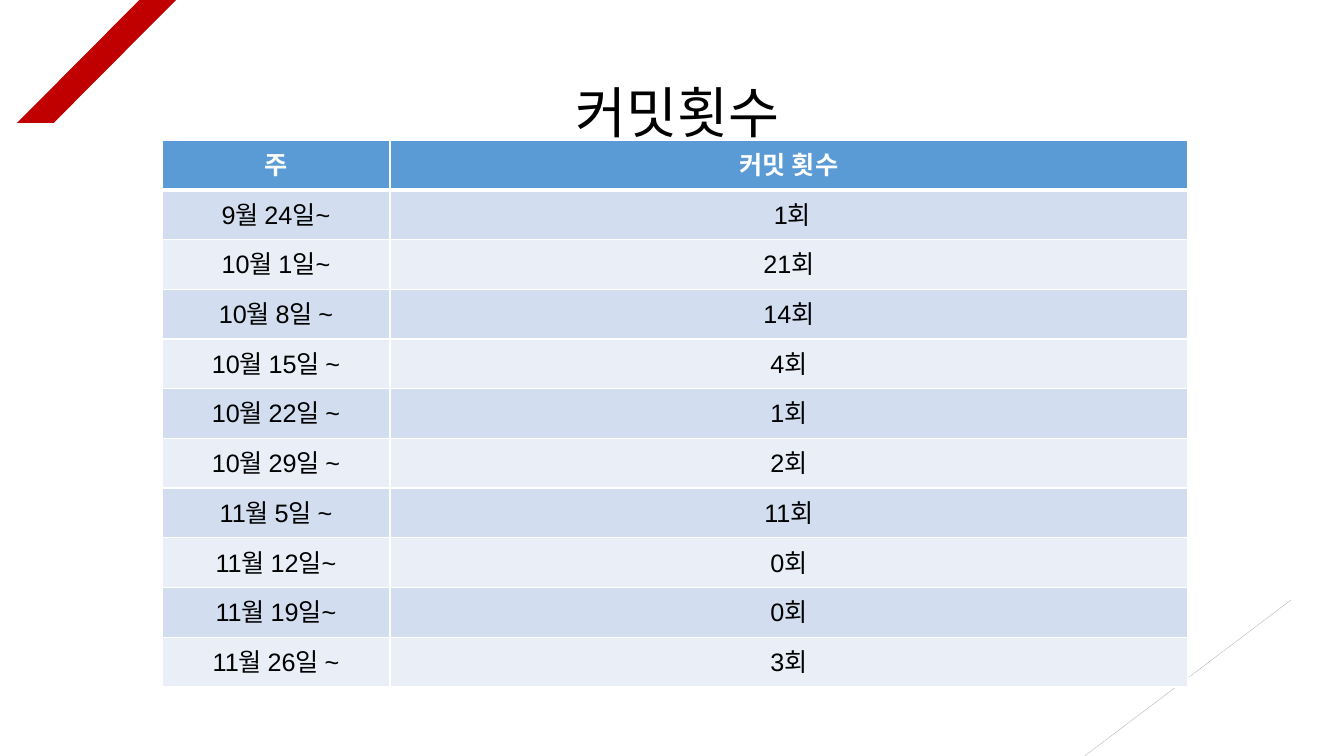
from lxml.etree import SubElement
from pptx import Presentation
from pptx.dml.color import RGBColor
from pptx.enum.shapes import MSO_CONNECTOR as Connector, MSO_SHAPE as Preset
from pptx.enum.text import MSO_ANCHOR as Anchor, PP_ALIGN as Align
from pptx.oxml.ns import qn
from pptx.util import Pt

PIXEL = 914400 / 100.8

RED = RGBColor(0xC0, 0x00, 0x00)
GREY = RGBColor(0xA6, 0xA6, 0xA6)
BLACK = RGBColor(0x00, 0x00, 0x00)
WHITE = RGBColor(0xFF, 0xFF, 0xFF)
HEADER_BLUE = RGBColor(0x5B, 0x9B, 0xD5)
BANDS = (RGBColor(0xD2, 0xDE, 0xEF), RGBColor(0xEA, 0xEF, 0xF7))

HEADER = ("주", "커밋 횟수")
COMMITS = [
    ("9월 24일~", " 1회"),
    ("10월 1일~", "21회"),
    ("10월 8일 ~", "14회"),
    ("10월 15일 ~", "4회"),
    ("10월 22일 ~", "1회"),
    ("10월 29일 ~", "2회"),
    ("11월 5일 ~", "11회"),
    ("11월 12일~", "0회"),
    ("11월 19일~", "0회"),
    ("11월 26일 ~", "3회"),
]


def emu(*pixels):
    return [round(value * PIXEL) for value in pixels]


def write(text_frame, text, font_name, size, color, bold=False):
    paragraph = text_frame.paragraphs[0]
    paragraph.alignment = Align.CENTER
    run = paragraph.add_run()
    run.text = text
    run.font.name = font_name
    run.font.size = Pt(size)
    run.font.bold = bold
    run.font.color.rgb = color


def add_corner_stripe(slide, left, top, width, height):
    stripe = slide.shapes.add_shape(Preset.PARALLELOGRAM, *emu(left, top, width, height))
    stripe.adjustments[0] = 0.995
    stripe.shadow.inherit = False
    stripe.fill.solid()
    stripe.fill.fore_color.rgb = RED
    stripe.line.fill.background()


def add_corner_line(slide, left, top, width, height):
    # Rises from the lower left to the upper right of its box
    line = slide.shapes.add_connector(
        Connector.STRAIGHT, *emu(left, top + height, left + width, top))
    line.line.color.rgb = GREY
    line.line.width = Pt(0.2)
    SubElement(line._element.spPr, qn("a:effectLst"))


def add_title(slide, left, top, width, height):
    title = slide.shapes.add_textbox(*emu(left, top, width, height))
    title.text_frame.word_wrap = True
    title.text_frame.vertical_anchor = Anchor.MIDDLE
    write(title.text_frame, "커밋횟수 ", "Calibri", 39.6, BLACK)


def set_borders(cell, top, bottom):
    properties = cell._tc.get_or_add_tcPr()
    for side, points in (("L", 1), ("R", 1), ("T", top), ("B", bottom)):
        border = SubElement(properties, qn(f"a:ln{side}"), w=str(Pt(points)))
        fill = SubElement(border, qn("a:solidFill"))
        SubElement(fill, qn("a:srgbClr"), val=str(WHITE))


def add_commit_table(slide, left, top, width, height, week_width):
    rows = [HEADER, *COMMITS]
    frame = slide.shapes.add_table(
        len(rows), len(HEADER), *emu(left, top, width, height))
    table = frame.table
    for column, column_width in zip(table.columns, emu(week_width, width - week_width)):
        column.width = column_width

    for row_index, texts in enumerate(rows):
        is_header = row_index == 0
        table.rows[row_index].height = emu(height / len(rows))[0]
        for column_index, text in enumerate(texts):
            cell = table.cell(row_index, column_index)
            # The rule below the header is heavier than the others
            set_borders(cell, 3 if row_index == 1 else 1, 3 if is_header else 1)
            cell.fill.solid()
            cell.fill.fore_color.rgb = HEADER_BLUE if is_header else BANDS[(row_index - 1) % 2]
            write(cell.text_frame, text, "Arial", 18,
                  WHITE if is_header else BLACK, is_header)


def build_commit_slide(presentation):
    slide = presentation.slides.add_slide(presentation.slide_layouts[6])
    # Corner decorations
    add_corner_stripe(slide, 17, 0, 159, 123)
    add_corner_line(slide, 1082, 600, 209, 158)
    # Title and weekly counts
    add_title(slide, 116, 83, 1136, 57)
    add_commit_table(slide, 162, 140, 1026, 547, week_width=228)


presentation = Presentation()
presentation.slide_width, presentation.slide_height = emu(1344, 756)
build_commit_slide(presentation)
presentation.save("out.pptx")
